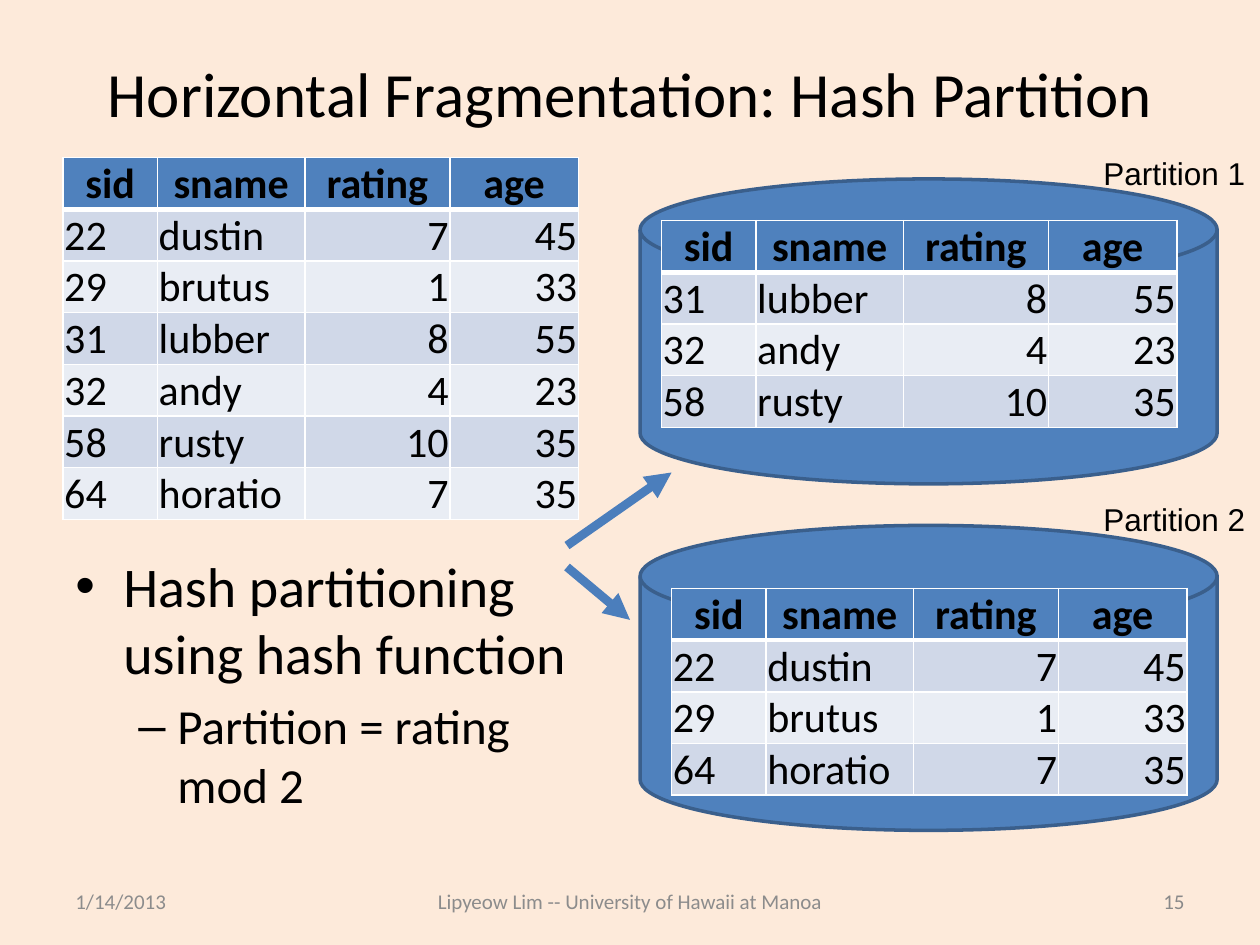
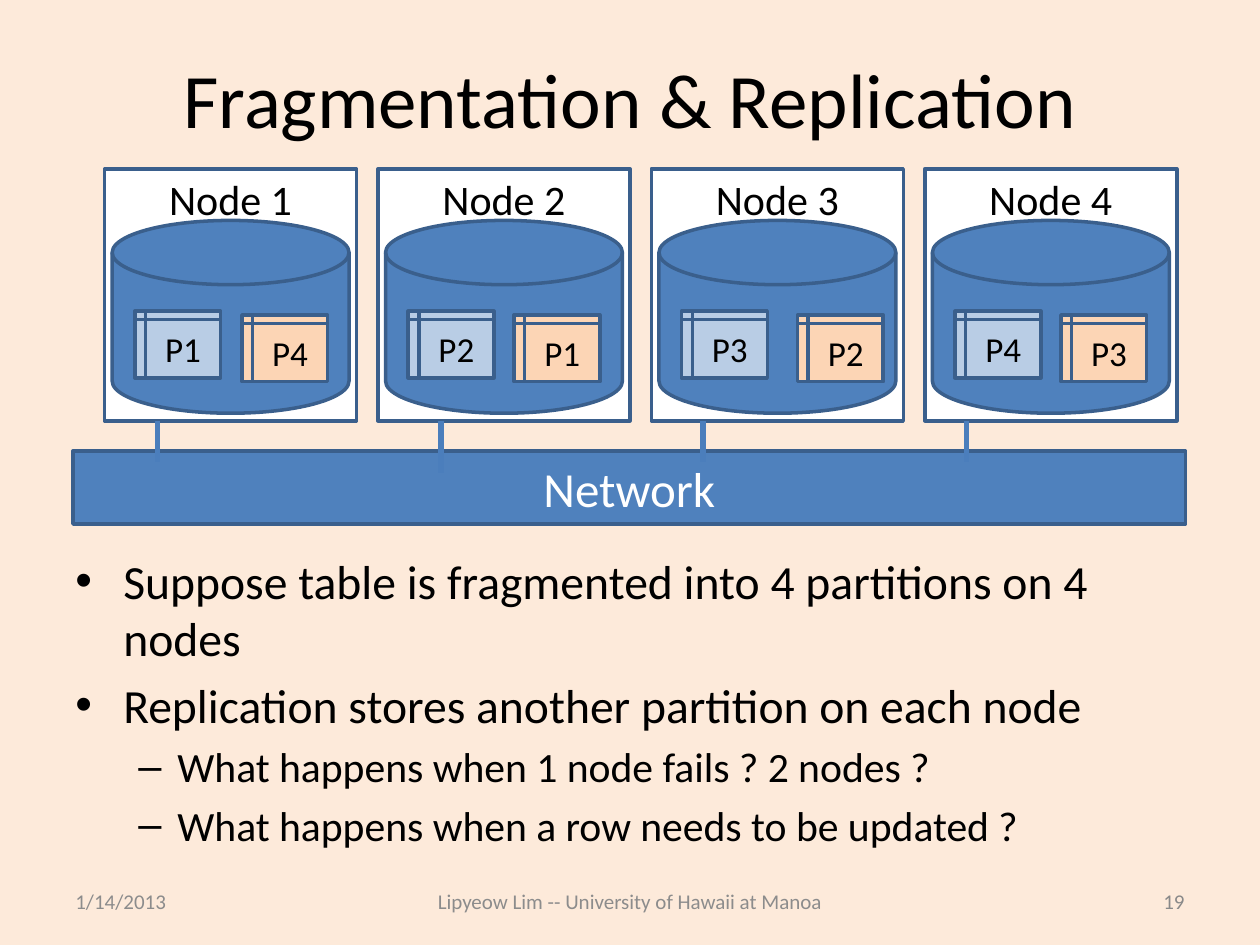
from dataclasses import dataclass

from lxml.etree import SubElement
from pptx import Presentation
from pptx.dml.color import RGBColor
from pptx.enum.shapes import MSO_CONNECTOR, MSO_SHAPE as Preset
from pptx.enum.text import MSO_ANCHOR as Anchor, MSO_AUTO_SIZE as AutoSize, PP_ALIGN as Align
from pptx.oxml.ns import qn
from pptx.util import Inches, Pt


@dataclass(frozen=True)
class Theme:
    font: str = "Calibri"
    label_font: str = "Arial"
    background: str = "FDEADA"
    ink: str = "000000"
    white: str = "FFFFFF"
    blue: str = "4F81BD"
    outline: str = "3A5F8C"
    link: str = "4B7EBC"
    odd_row: str = "D0D8E8"
    even_row: str = "E9EDF4"
    primary: str = "B9CDE5"
    replica: str = "FCD5B5"
    footer: str = "8C8C8C"
    page: str = "898989"
    footer_size: float = 12
    label_size: float = 18
    fragment_size: float = 20
    table_size: float = 24
    network_size: float = 28


BULLETS = (("•", 0.38, -0.38), ("–", 0.81, -0.31))
COLUMNS = (0.75, 1.17, 1.15, 1.02)
ROW_HEIGHT = 0.41
HEADER = ("sid", "sname", "rating", "age")
SAILORS = (
    ("22", "dustin", "7", "45"),
    ("29", "brutus", "1", "33"),
    ("31", "lubber", "8", "55"),
    ("32", "andy", "4", "23"),
    ("58", "rusty", "10", "35"),
    ("64", "horatio", "7", "35"),
)


def rgb(color):
    return RGBColor.from_string(color)


def inches(*lengths):
    return [Inches(length) for length in lengths]


class Deck:
    def __init__(self, theme):
        self.theme = theme
        self.prs = Presentation()
        self.prs.slide_width, self.prs.slide_height = inches(10, 7.5)
        backdrop = self.prs.slide_master.background.fill
        backdrop.solid()
        backdrop.fore_color.rgb = rgb(theme.background)
        self.slide = None

    def start(self, title, size, height, page):
        theme = self.theme
        self.slide = self.prs.slides.add_slide(self.prs.slide_layouts[5])
        heading = self.slide.shapes.title
        heading.left, heading.top, heading.width, heading.height = inches(0.5, 0.3, 9, height)
        heading.text_frame.auto_size = AutoSize.NONE
        self.fill_text(heading.text_frame, title, size, align=Align.CENTER, anchor=Anchor.MIDDLE)
        for left, width, text, align, color in (
            (0.5, 2.33, "1/14/2013", Align.LEFT, theme.footer),
            (3, 4, "Lipyeow Lim -- University of Hawaii at Manoa", Align.CENTER, theme.footer),
            (7.17, 2.33, page, Align.RIGHT, theme.page),
        ):
            self.text((left, 6.95, width, 0.4), text, theme.footer_size,
                      color=color, align=align, anchor=Anchor.MIDDLE)

    def style(self, paragraph, size, color=None, font=None, bold=False):
        for run in paragraph.runs:
            run.font.size = Pt(size)
            run.font.name = font or self.theme.font
            run.font.bold = bold
            run.font.color.rgb = rgb(color or self.theme.ink)

    def fill_text(self, frame, text, size, align=Align.LEFT, anchor=Anchor.TOP, **look):
        frame.text = text
        frame.vertical_anchor = anchor
        frame.paragraphs[0].alignment = align
        self.style(frame.paragraphs[0], size, **look)

    def text(self, box, text, size, wrap=True, on=None, **look):
        frame = (on or self.slide).shapes.add_textbox(*inches(*box)).text_frame
        frame.word_wrap = wrap
        self.fill_text(frame, text, size, **look)

    def bullets(self, box, items, sizes):
        frame = self.slide.shapes.add_textbox(*inches(*box)).text_frame
        frame.word_wrap = True
        for index, (level, text) in enumerate(items):
            paragraph = frame.add_paragraph() if index else frame.paragraphs[0]
            paragraph.text = text
            paragraph.level = level
            mark, margin, indent = BULLETS[level]
            properties = paragraph._p.get_or_add_pPr()
            properties.set("marL", str(Inches(margin)))
            properties.set("indent", str(Inches(indent)))
            SubElement(properties, qn("a:buFont"), typeface=self.theme.label_font)
            SubElement(properties, qn("a:buChar"), char=mark)
            paragraph.space_before = Pt(round(0.2 * sizes[level], 1) if index else 0)
            self.style(paragraph, sizes[level])

    def shape(self, preset, box, fill, text="", size=None, color=None, on=None):
        figure = (on or self.slide).shapes.add_shape(preset, *inches(*box))
        figure.shadow.inherit = False
        figure.fill.solid()
        figure.fill.fore_color.rgb = rgb(fill)
        figure.line.color.rgb = rgb(self.theme.outline)
        figure.line.width = Pt(2)
        if text:
            self.fill_text(figure.text_frame, text, size, color=color,
                           align=Align.CENTER, anchor=Anchor.MIDDLE)

    def line(self, start, end, width, arrow=False):
        link = self.slide.shapes.add_connector(MSO_CONNECTOR.STRAIGHT, *inches(*start, *end))
        link.line.color.rgb = rgb(self.theme.link)
        link.line.width = Pt(width)
        properties = link._element.spPr
        if arrow:
            SubElement(properties.find(qn("a:ln")), qn("a:tailEnd"), type="triangle")
        SubElement(properties, qn("a:effectLst"))

    def borders(self, cell, bottom):
        properties = cell._tc.get_or_add_tcPr()
        for index, (side, width) in enumerate((("L", 1), ("R", 1), ("T", 1), ("B", bottom))):
            edge = SubElement(properties, qn(f"a:ln{side}"), w=str(Pt(width)))
            SubElement(SubElement(edge, qn("a:solidFill")), qn("a:srgbClr"), val=self.theme.white)
            properties.insert(index, edge)

    def table(self, left, top, sailors):
        theme = self.theme
        rows = (HEADER, *sailors)
        grid = self.slide.shapes.add_table(
            len(rows), len(COLUMNS),
            *inches(left, top, sum(COLUMNS), ROW_HEIGHT * len(rows))).table
        for column, width in zip(grid.columns, COLUMNS):
            column.width = Inches(width)
        for r, values in enumerate(rows):
            grid.rows[r].height = Inches(ROW_HEIGHT)
            row_fill = (theme.odd_row if r % 2 else theme.even_row) if r else theme.blue
            for c, value in enumerate(values):
                cell = grid.cell(r, c)
                cell.margin_left = cell.margin_right = cell.margin_top = Inches(0.01)
                cell.margin_bottom = 0
                cell.fill.solid()
                cell.fill.fore_color.rgb = rgb(row_fill)
                align = (Align.RIGHT if c > 1 else Align.LEFT) if r else Align.CENTER
                self.fill_text(cell.text_frame, value, theme.table_size, align=align, bold=not r)
                cell.vertical_anchor = Anchor.BOTTOM
                self.borders(cell, 1 if r else 3)


def hash_partition(deck):
    theme = deck.theme
    deck.start("Horizontal Fragmentation: Hash Partition", 36, 0.87, "15")
    deck.bullets((0.5, 4.33, 4.42, 2.37), (
        (0, "Hash partitioning using hash function"),
        (1, "Partition = rating mod 2"),
    ), (32, 28))
    deck.table(0.5, 1.25, SAILORS)
    partitions = (
        (1.42, 5.25, 1.75, 0),
        (4.17, 5.33, 4.67, 1),
    )
    for number, (disk_top, left, top, remainder) in enumerate(partitions, 1):
        deck.shape(Preset.FLOWCHART_MAGNETIC_DISK, (5.08, disk_top, 4.58, 2.42), theme.blue)
        deck.text((8.66, disk_top - 0.25, 1.34, 0.4), f"Partition {number}",
                  theme.label_size, wrap=False, font=theme.label_font)
        deck.table(left, top, [row for row in SAILORS if int(row[2]) % 2 == remainder])
    deck.line((4.5, 4.33), (5.33, 3.75), 5, arrow=True)
    deck.line((4.5, 4.5), (5, 4.92), 5, arrow=True)


def replication(deck):
    theme = deck.theme
    deck.start("Fragmentation & Replication", 44, 0.95, "19")
    deck.bullets((0.5, 4.33, 8.92, 2.5), (
        (0, "Suppose table is fragmented into 4 partitions on 4 nodes"),
        (0, "Replication stores another partition on each node"),
        (1, "What happens when 1 node fails ? 2 nodes ?"),
        (1, "What happens when a row needs to be updated ?"),
    ), (27.2, 23.8))
    deck.shape(Preset.RECTANGLE, (0.58, 3.58, 8.83, 0.58), theme.blue,
               "Network", theme.network_size, theme.white)
    nodes = (
        (1.92, 1.25, 3.67),
        (4.08, 3.5, 3.75),
        (6.33, 5.58, 3.67),
        (8.42, 7.67, 3.67),
    )
    for index, (replica_left, link_x, link_end) in enumerate(nodes):
        left = 0.83 + 2.17 * index
        number = index + 1
        node = deck.slide.shapes.add_group_shape()
        deck.shape(Preset.RECTANGLE, (left, 1.34, 2, 2), theme.white, on=node)
        deck.shape(Preset.FLOWCHART_MAGNETIC_DISK, (left + 0.06, 1.75, 1.88, 1.53),
                   theme.blue, on=node)
        deck.shape(Preset.FLOWCHART_INTERNAL_STORAGE, (left + 0.24, 2.47, 0.68, 0.53),
                   theme.primary, f"P{number}", theme.fragment_size, on=node)
        deck.text((left + 0.12, 1.33, 1.76, 0.5), f"Node {number}", theme.table_size,
                  on=node, align=Align.CENTER)
        deck.shape(Preset.FLOWCHART_INTERNAL_STORAGE, (replica_left, 2.5, 0.68, 0.53),
                   theme.replica, f"P{index or len(nodes)}", theme.fragment_size)
        deck.line((link_x, 3.34), (link_x, link_end), 3)


def main():
    deck = Deck(Theme())
    hash_partition(deck)
    replication(deck)
    deck.prs.save("out.pptx")


if __name__ == "__main__":
    main()
